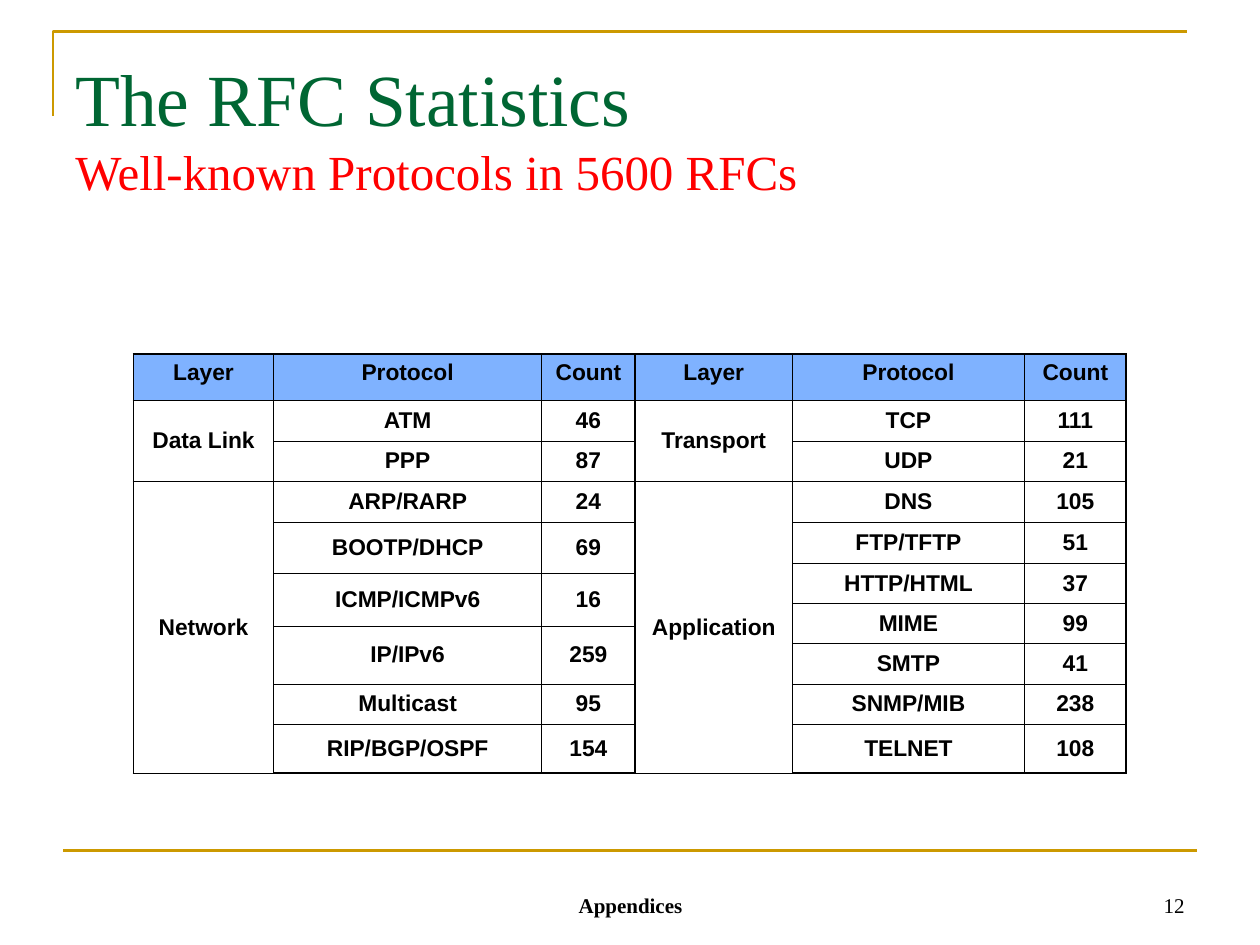
import pptx
import pptx.dml.color
import pptx.enum.text
import pptx.oxml
import pptx.oxml.ns
import pptx.util
from pptx.util import Inches

BLACK = pptx.dml.color.RGBColor(0x00, 0x00, 0x00)
GOLD = pptx.dml.color.RGBColor(0xCC, 0x99, 0x00)
GREEN = pptx.dml.color.RGBColor(0x00, 0x66, 0x33)
RED = pptx.dml.color.RGBColor(0xFF, 0x00, 0x00)
BLUE = pptx.dml.color.RGBColor(0x00, 0x66, 0xFF)

ALIGN = pptx.enum.text.PP_ALIGN
ANCHOR = pptx.enum.text.MSO_ANCHOR
SERIF = "Times New Roman"
THIN, THICK = 0.45, 1.08

COLUMN_WIDTHS = [1.11, 2.13, 0.74, 1.25, 1.84, 0.81]
ROW_HEIGHTS = [0.37, 0.32, 0.32, 0.33, 0.32, 0.08, 0.24, 0.18, 0.14, 0.32, 0.32, 0.39]
LEFT_LAYERS = [("Data Link", 2), ("Network", 9)]
RIGHT_LAYERS = [("Transport", 2), ("Application", 9)]
LEFT_PROTOCOLS = [
    ("ATM", 46, 1), ("PPP", 87, 1), ("ARP/RARP", 24, 1), ("BOOTP/DHCP", 69, 2),
    ("ICMP/ICMPv6", 16, 2), ("IP/IPv6", 259, 2), ("Multicast", 95, 1),
    ("RIP/BGP/OSPF", 154, 1),
]
RIGHT_PROTOCOLS = [
    ("TCP", 111, 1), ("UDP", 21, 1), ("DNS", 105, 1), ("FTP/TFTP", 51, 1),
    ("HTTP/HTML", 37, 2), ("MIME", 99, 2), ("SMTP", 41, 1), ("SNMP/MIB", 238, 1),
    ("TELNET", 108, 1),
]


def style_span(span, size, color, name=SERIF, bold=False):
    """Set the font of one run."""
    span.font.name = name
    span.font.size = pptx.util.Pt(size)
    span.font.bold = bold
    span.font.color.rgb = color


def add_frame_lines(page, left, top, width):
    """Draw the corner line above the title and the rule above the footer."""
    builder = page.shapes.build_freeform(left, top + Inches(0.67))
    builder.add_line_segments([(left, top), (left + width, top)], close=False)
    corner = builder.convert_to_shape()
    corner.shadow.inherit = False
    corner.fill.background()
    rule_left, rule_top = left + Inches(0.08), top + Inches(6.5)
    rule = page.shapes.add_connector(
        pptx.enum.shapes.MSO_CONNECTOR.STRAIGHT,
        rule_left, rule_top, rule_left + width, rule_top)
    rule._element.spPr.append(pptx.oxml.parse_xml(
        f"<a:effectLst {pptx.oxml.ns.nsdecls('a')}/>"))
    for shape in (corner, rule):
        shape.line.color.rgb = GOLD
        shape.line.width = pptx.util.Pt(1.5)


def add_title(page, left, top, width, height):
    """Write the title with its subtitle on a second line."""
    box = page.shapes.add_textbox(left, top, width, height)
    frame = box.text_frame
    frame.word_wrap = True
    frame.margin_top, frame.margin_bottom = Inches(0.12), 0
    frame.text = "The RFC Statistics\vWell-known Protocols in 5600 RFCs"
    title, subtitle = frame.paragraphs[0].runs
    style_span(title, 42, GREEN)
    style_span(subtitle, 28, RED)


def add_footer_text(page, left, top, width, height, text, align, bold):
    """Write one footer entry at the bottom of its box."""
    box = page.shapes.add_textbox(left, top, width, height)
    frame = box.text_frame
    frame.word_wrap = True
    frame.vertical_anchor = ANCHOR.BOTTOM
    frame.text = text
    para = frame.paragraphs[0]
    para.alignment = align
    style_span(para.runs[0], 12, BLACK, bold=bold)


def set_borders(cell, row, column):
    """Draw thin cell borders, with thick ones around each half of the table."""
    thick_sides = {
        "L": column % 3 == 0,
        "R": column % 3 == 2,
        "T": row == 0,
        "B": row == len(ROW_HEIGHTS) - 1,
    }
    properties = cell._tc.get_or_add_tcPr()
    for position, (side, thick) in enumerate(thick_sides.items()):
        width = pptx.util.Pt(THICK if thick else THIN)
        properties.insert(position, pptx.oxml.parse_xml(
            f'<a:ln{side} {pptx.oxml.ns.nsdecls("a")} w="{width}">'
            f'<a:solidFill><a:srgbClr val="{BLACK}"/></a:solidFill></a:ln{side}>'))


def fill_header(cell):
    """Fill a heading cell with half-transparent blue."""
    cell.fill.solid()
    cell.fill.fore_color.rgb = BLUE
    color = cell._tc.tcPr.find(".//" + pptx.oxml.ns.qn("a:solidFill") + "[last()]/"
                               + pptx.oxml.ns.qn("a:srgbClr"))
    color.append(pptx.oxml.parse_xml(
        f'<a:alpha {pptx.oxml.ns.nsdecls("a")} val="50000"/>'))


def write_cell(cell, text, anchor):
    """Write centred bold text in a cell."""
    cell.text_frame.text = text
    cell.vertical_anchor = anchor
    para = cell.text_frame.paragraphs[0]
    para.alignment = ALIGN.CENTER
    style_span(para.runs[0], 13, BLACK, "Arial", True)


def write_column(table, column, heading, entries):
    """Write a heading and the entries below it, merging the rows each covers."""
    write_cell(table.cell(0, column), heading, ANCHOR.TOP)
    row = 1
    for text, row_count in entries:
        cell = table.cell(row, column)
        if row_count > 1:
            cell.merge(table.cell(row + row_count - 1, column))
        write_cell(cell, str(text), ANCHOR.MIDDLE)
        row += row_count


def add_protocol_table(page, left, top):
    """Build the table of protocols by layer in two halves."""
    table = page.shapes.add_table(
        len(ROW_HEIGHTS), len(COLUMN_WIDTHS), left, top,
        Inches(sum(COLUMN_WIDTHS)), Inches(sum(ROW_HEIGHTS))).table
    table.first_row = table.horz_banding = False
    for column, width in zip(table.columns, COLUMN_WIDTHS):
        column.width = Inches(width)
    for row, height in zip(table.rows, ROW_HEIGHTS):
        row.height = Inches(height)
    for row in range(len(ROW_HEIGHTS)):
        for column in range(len(COLUMN_WIDTHS)):
            cell = table.cell(row, column)
            if row == 0:
                fill_header(cell)
            else:
                cell.fill.background()
            set_borders(cell, row, column)
    halves = [(LEFT_LAYERS, LEFT_PROTOCOLS), (RIGHT_LAYERS, RIGHT_PROTOCOLS)]
    for half, (layers, protocols) in enumerate(halves):
        first = 3 * half
        write_column(table, first, "Layer", layers)
        write_column(table, first + 1, "Protocol",
                     [(name, rows) for name, count, rows in protocols])
        write_column(table, first + 2, "Count",
                     [(count, rows) for name, count, rows in protocols])


def main():
    """Build the slide and save the deck."""
    deck = pptx.Presentation()
    deck.slide_width, deck.slide_height = Inches(10), Inches(7.5)
    page = deck.slides.add_slide(deck.slide_layouts[6])
    add_frame_lines(page, Inches(0.42), Inches(0.25), Inches(9))
    add_footer_text(page, Inches(3.42), Inches(6.83), Inches(3.17), Inches(0.5),
                    "Appendices", ALIGN.CENTER, True)
    add_footer_text(page, Inches(7.17), Inches(6.83), Inches(2.33), Inches(0.5),
                    "12", ALIGN.RIGHT, False)
    add_title(page, Inches(0.5), Inches(0.3), Inches(9), Inches(1.25))
    add_protocol_table(page, Inches(1.06), Inches(2.81))
    deck.save("out.pptx")


if __name__ == "__main__":
    main()
